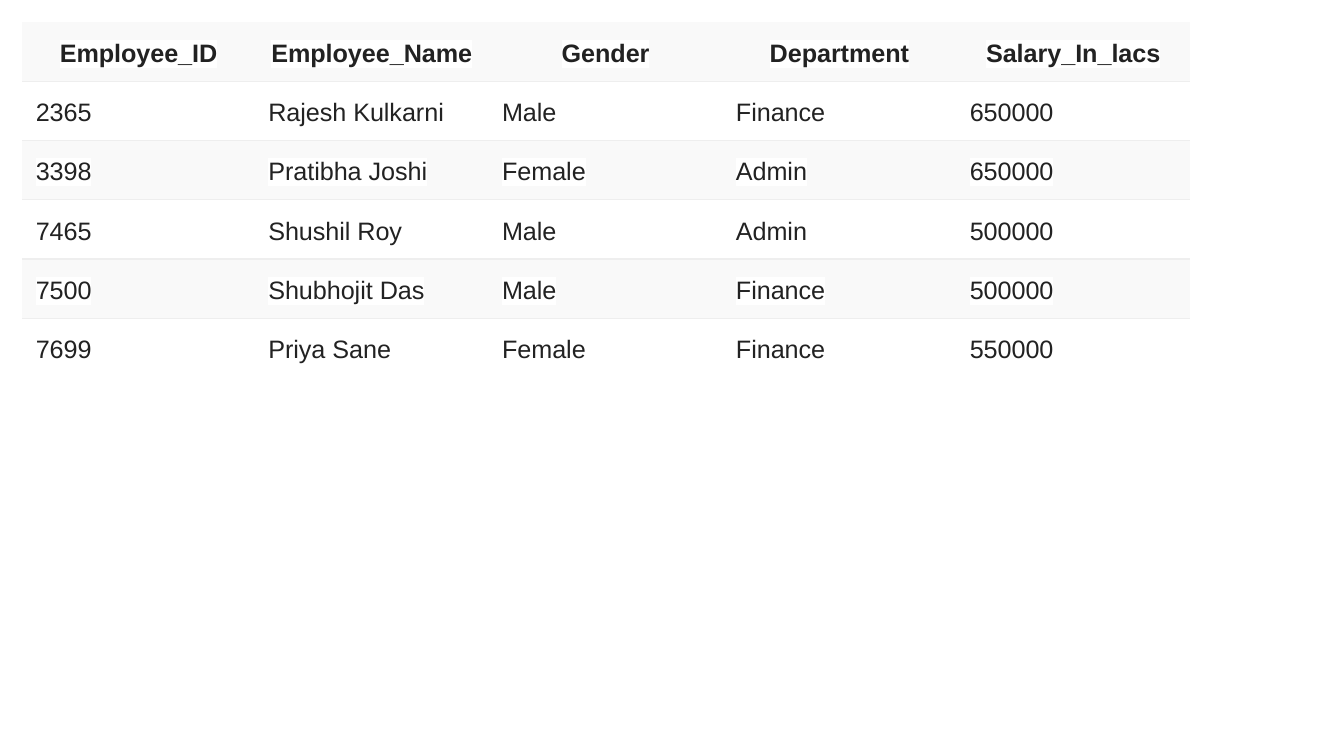
from lxml.etree import SubElement
from pptx import Presentation
from pptx.dml.color import RGBColor
from pptx.enum.text import PP_ALIGN
from pptx.oxml.ns import qn
from pptx.util import Inches, Pt

WHITE = RGBColor(0xFF, 0xFF, 0xFF)
STRIPE = RGBColor(0xF9, 0xF9, 0xF9)
RULE = RGBColor(0xEE, 0xEE, 0xEE)
INK = RGBColor(0x22, 0x22, 0x22)

EMPLOYEES = [
    ("Employee_ID", "Employee_Name", "Gender", "Department", "Salary_In_lacs"),
    ("2365", "Rajesh Kulkarni", "Male", "Finance", "650000"),
    ("3398", "Pratibha Joshi", "Female", "Admin", "650000"),
    ("7465", "Shushil Roy", "Male", "Admin", "500000"),
    ("7500", "Shubhojit Das", "Male", "Finance", "500000"),
    ("7699", "Priya Sane", "Female", "Finance", "550000"),
]


def add_color(parent, tag, color):
    SubElement(SubElement(parent, qn(tag)), qn("a:srgbClr"), val=str(color))


def set_borders(cell, ruled_sides):
    """Rule the named sides (T, B) and clear the others; call before filling."""
    properties = cell._tc.get_or_add_tcPr()
    for side in "LRTB":
        line = SubElement(properties, qn(f"a:ln{side}"), w=str(Pt(0.75)))
        if side in ruled_sides:
            add_color(line, "a:solidFill", RULE)
        else:
            SubElement(line, qn("a:noFill"))


def write_cell(cell, text, is_header):
    cell.margin_left = cell.margin_right = Inches(0.1)
    cell.margin_top = cell.margin_bottom = Inches(0.1)
    paragraph = cell.text_frame.paragraphs[0]
    paragraph.alignment = PP_ALIGN.CENTER if is_header else PP_ALIGN.LEFT
    paragraph.line_spacing = 1.15
    font = paragraph.font
    font.name, font.size, font.bold = "Arial", Pt(13.5), is_header
    font.color.rgb = INK
    run = paragraph.add_run()
    run.text = text
    add_color(run._r.get_or_add_rPr(), "a:highlight", WHITE)


def add_employee_table(slide, left, top, width, row_height):
    rows, columns = len(EMPLOYEES), len(EMPLOYEES[0])
    table = slide.shapes.add_table(
        rows, columns, left, top, width, row_height * rows).table
    table.first_row = table.horz_banding = False
    table.columns[0].width -= Inches(0.01)
    for row, record in enumerate(EMPLOYEES):
        ruled_sides = ("T" if row > 0 else "") + ("B" if row < rows - 1 else "")
        striped = row % 2 == 0
        for column, text in enumerate(record):
            cell = table.cell(row, column)
            set_borders(cell, ruled_sides)
            if striped:
                cell.fill.solid()
                cell.fill.fore_color.rgb = STRIPE
            else:
                cell.fill.background()
            write_cell(cell, text, is_header=row == 0)


def main():
    presentation = Presentation()
    presentation.slide_width = Inches(10)
    presentation.slide_height = presentation.slide_width * 9 // 16
    slide = presentation.slides.add_slide(presentation.slide_layouts[6])
    margin = presentation.slide_width // 60
    add_employee_table(slide, margin, margin, Inches(8.7), Inches(0.35))
    presentation.save("out.pptx")


if __name__ == "__main__":
    main()
